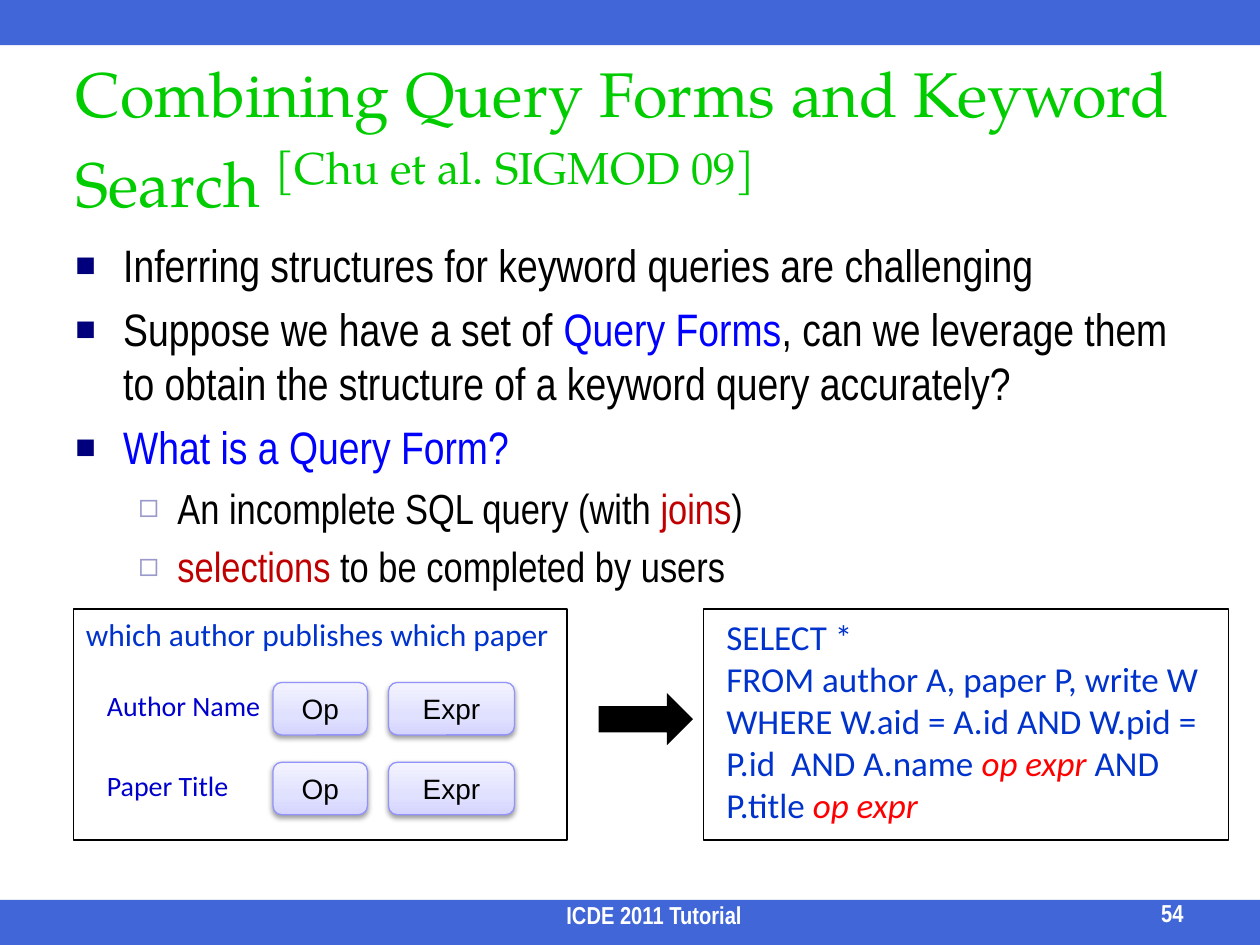
"""Build the slide on query forms and keyword search."""
from dataclasses import dataclass
from typing import Optional

from lxml import etree
from pptx import Presentation
from pptx import util as u
from pptx.dml.color import RGBColor
from pptx.enum import shapes, text
from pptx.oxml import ns

COLOURS = {
    "royal": "0033CC", "green": "00CC00", "black": "000000", "white": "FFFFFF",
    "blue": "0000FF", "label": "0000CC", "crimson": "C00000", "red": "FF0000",
    "navy": "00007D", "lilac": "9999CC", "edge": "9393FC",
    "low": "D4D4FF", "middle": "E0E0FF", "high": "F3F3FF",
}
COLUMNS, ROWS = 120, 90
WIDTH, HEIGHT = u.Inches(10), u.Inches(7.5)
PANEL_ROW, PANEL_ROWS = 58, 22


@dataclass(frozen=True)
class Area:
    column: float
    row: float
    columns: float
    rows: float

    def box(self) -> tuple:
        return (int(WIDTH * self.column / COLUMNS), int(HEIGHT * self.row / ROWS),
                int(WIDTH * self.columns / COLUMNS), int(HEIGHT * self.rows / ROWS))


@dataclass(frozen=True)
class Span:
    words: str
    colour: str
    italic: bool = False
    size: Optional[float] = None
    raised: int = 0


@dataclass(frozen=True)
class Bullet:
    sign: str
    colour: str
    percent: int


@dataclass(frozen=True)
class Style:
    font: str
    size: float
    bold: bool = False
    align: text.PP_ALIGN = text.PP_ALIGN.LEFT
    level: int = 0
    margin: float = 0
    indent: float = 0
    bullet: Optional[Bullet] = None


@dataclass(frozen=True)
class Field:
    label: str
    row: float
    label_columns: float


NARROW, SANS = "Arial Narrow", "Calibri"
TITLE = Style("TeX Gyre Pagella", 36)
POINT = Style(NARROW, 26, margin=0.38, indent=-0.38, bullet=Bullet("■", "navy", 75))
SUBPOINT = Style(NARROW, 24, level=1, margin=0.81, indent=-0.31,
                 bullet=Bullet("◻", "lilac", 80))
QUERY = Style(SANS, 20, level=1, margin=0.5)
BUTTON = Style("Arial", 16, align=text.PP_ALIGN.CENTER)

HEADING = [Span("Combining Query Forms and Keyword Search ", "green"),
           Span("[Chu et al. SIGMOD 09]", "green", size=44, raised=30)]
POINTS = [
    (POINT, [Span("Inferring structures for keyword queries are challenging", "black")]),
    (POINT, [Span("Suppose we have a set of ", "black"), Span("Query Forms", "blue"),
             Span(", can we leverage them to obtain the structure of a keyword query "
                  "accurately?", "black")]),
    (POINT, [Span("What is a Query Form?", "blue")]),
    (SUBPOINT, [Span("An incomplete SQL query (with ", "black"),
                Span("joins", "crimson"), Span(")", "black")]),
    (SUBPOINT, [Span("selections", "crimson"),
                Span(" to be completed by users", "black")]),
]
SQL = [
    (QUERY, [Span("SELECT *", "royal")]),
    (QUERY, [Span("FROM author A, paper P, write W", "royal")]),
    (QUERY, [Span("WHERE W.aid = A.id AND W.pid = P.id  AND A.name ", "royal"),
             Span("op expr", "red", True), Span(" AND P.title ", "royal"),
             Span("op expr", "red", True)]),
]
FIELDS = [Field("Author Name", 65, 17.2), Field("Paper Title", 72.6, 14.2)]
BUTTONS = [("Op", 26, 9), ("Expr", 37, 12)]


def rgb(name: str) -> RGBColor:
    return RGBColor.from_string(COLOURS[name])


def add_node(parent, tag: str, **attributes):
    node = etree.SubElement(parent, ns.qn(f"a:{tag}"))
    for key, value in attributes.items():
        node.set(key, str(value))
    return node


def add_bullet(properties, bullet: Bullet) -> None:
    add_node(add_node(properties, "spcBef"), "spcPct", val=20000)
    add_node(add_node(properties, "buClr"), "srgbClr", val=COLOURS[bullet.colour])
    add_node(properties, "buSzPct", val=bullet.percent * 1000)
    add_node(properties, "buFont", typeface="Arial")
    add_node(properties, "buChar", char=bullet.sign)


def write(frame, lines: list) -> None:
    for index, (style, spans) in enumerate(lines):
        para = frame.add_paragraph() if index else frame.paragraphs[0]
        para.alignment, para.level = style.align, style.level
        para.font.name, para.font.size = style.font, u.Pt(style.size)
        para.font.bold = style.bold
        properties = para._p.get_or_add_pPr()
        properties.set("marL", str(int(u.Inches(style.margin))))
        properties.set("indent", str(int(u.Inches(style.indent))))
        if style.bullet:
            font_node = properties.find(ns.qn("a:defRPr"))
            add_bullet(properties, style.bullet)
            properties.append(font_node)
        for span in spans:
            run = para.add_run()
            run.text = span.words
            run.font.name, run.font.size = style.font, u.Pt(span.size or style.size)
            run.font.bold, run.font.italic = style.bold, span.italic
            run.font.color.rgb = rgb(span.colour)
            if span.raised:
                run._r.get_or_add_rPr().set("baseline", str(span.raised * 1000))


def add_text(page, area: Area, lines: list, wrap: bool = True,
             anchor: text.MSO_ANCHOR = text.MSO_ANCHOR.TOP) -> None:
    frame = page.shapes.add_textbox(*area.box()).text_frame
    frame.word_wrap, frame.vertical_anchor = wrap, anchor
    write(frame, lines)


def add_form(page, kind, area: Area, fill: Optional[str] = None,
             line: Optional[str] = None):
    shape = page.shapes.add_shape(kind, *area.box())
    if fill:
        shape.fill.solid()
        shape.fill.fore_color.rgb = rgb(fill)
    else:
        shape.fill.background()
    if line:
        shape.line.color.rgb, shape.line.width = rgb(line), u.Pt(0.75)
    else:
        shape.line.fill.background()
    shape.shadow.inherit = False
    return shape


def add_band(page, row: float) -> None:
    band = add_form(page, shapes.MSO_SHAPE.RECTANGLE, Area(0, row, COLUMNS, 4.3), "royal")
    colour = band._element.spPr.find(ns.qn("a:solidFill")).find(ns.qn("a:srgbClr"))
    add_node(colour, "alpha", val=75000)


def add_button(page, words: str, area: Area) -> None:
    button = add_form(page, shapes.MSO_SHAPE.ROUNDED_RECTANGLE, area, line="edge")
    properties = button._element.spPr
    gradient = etree.Element(ns.qn("a:gradFill"), rotWithShape="1")
    stops = add_node(gradient, "gsLst")
    for share, colour in ((0, "low"), (35, "middle"), (100, "high")):
        add_node(add_node(stops, "gs", pos=share * 1000), "srgbClr", val=COLOURS[colour])
    add_node(gradient, "lin", ang=270 * 60000, scaled=0)
    properties.replace(properties.find(ns.qn("a:noFill")), gradient)
    shadow = add_node(properties.find(ns.qn("a:effectLst")), "outerShdw",
                      blurRad=int(u.Pt(3.1)), dist=int(u.Pt(1.6)), dir=90 * 60000,
                      rotWithShape=0)
    add_node(add_node(shadow, "srgbClr", val=COLOURS["black"]), "alpha", val=38000)
    button.text_frame.vertical_anchor = text.MSO_ANCHOR.MIDDLE
    write(button.text_frame, [(BUTTON, [Span(words, "black")])])


def add_title(page) -> None:
    title = page.shapes.title
    title.left, title.top, title.width, title.height = Area(6, 6, 108, 14.4).box()
    frame = title.text_frame
    frame.auto_size, frame.word_wrap = text.MSO_AUTO_SIZE.NONE, True
    frame.vertical_anchor = text.MSO_ANCHOR.MIDDLE
    write(frame, [(TITLE, HEADING)])


def main() -> None:
    deck = Presentation()
    deck.slide_width, deck.slide_height = WIDTH, HEIGHT
    page = deck.slides.add_slide(deck.slide_layouts[5])
    for row in (ROWS - 4.3, 0):
        add_band(page, row)
    add_title(page)
    add_text(page, Area(6, 22, 108, 64), POINTS)

    caption = Span("which author publishes which paper", "royal")
    add_text(page, Area(7, PANEL_ROW, 47, 4.8), [(Style(SANS, 18), [caption])])
    add_text(page, Area(62, PANEL_ROW, 54, 21.4), SQL)
    for column, columns in ((7, 47), (67, 50)):
        add_form(page, shapes.MSO_SHAPE.RECTANGLE,
                 Area(column, PANEL_ROW, columns, PANEL_ROWS), line="black")
    for field in FIELDS:
        add_text(page, Area(9, field.row, field.label_columns, 4.4),
                 [(Style(SANS, 16), [Span(field.label, "label")])], wrap=False)
        for words, column, columns in BUTTONS:
            add_button(page, words, Area(column, field.row, columns, 5))
    add_form(page, shapes.MSO_SHAPE.RIGHT_ARROW, Area(57, 66, 9, 5), "black")

    for words, area, align in (
            ("ICDE 2011 Tutorial", Area(27.8, 86.2, 69, 2.9), text.PP_ALIGN.CENTER),
            ("54", Area(98.8, 86, 15.1, 2.9), text.PP_ALIGN.RIGHT)):
        add_text(page, area, [(Style(NARROW, 14, True, align), [Span(words, "white")])],
                 anchor=text.MSO_ANCHOR.BOTTOM)
    deck.save("out.pptx")


if __name__ == "__main__":
    main()
